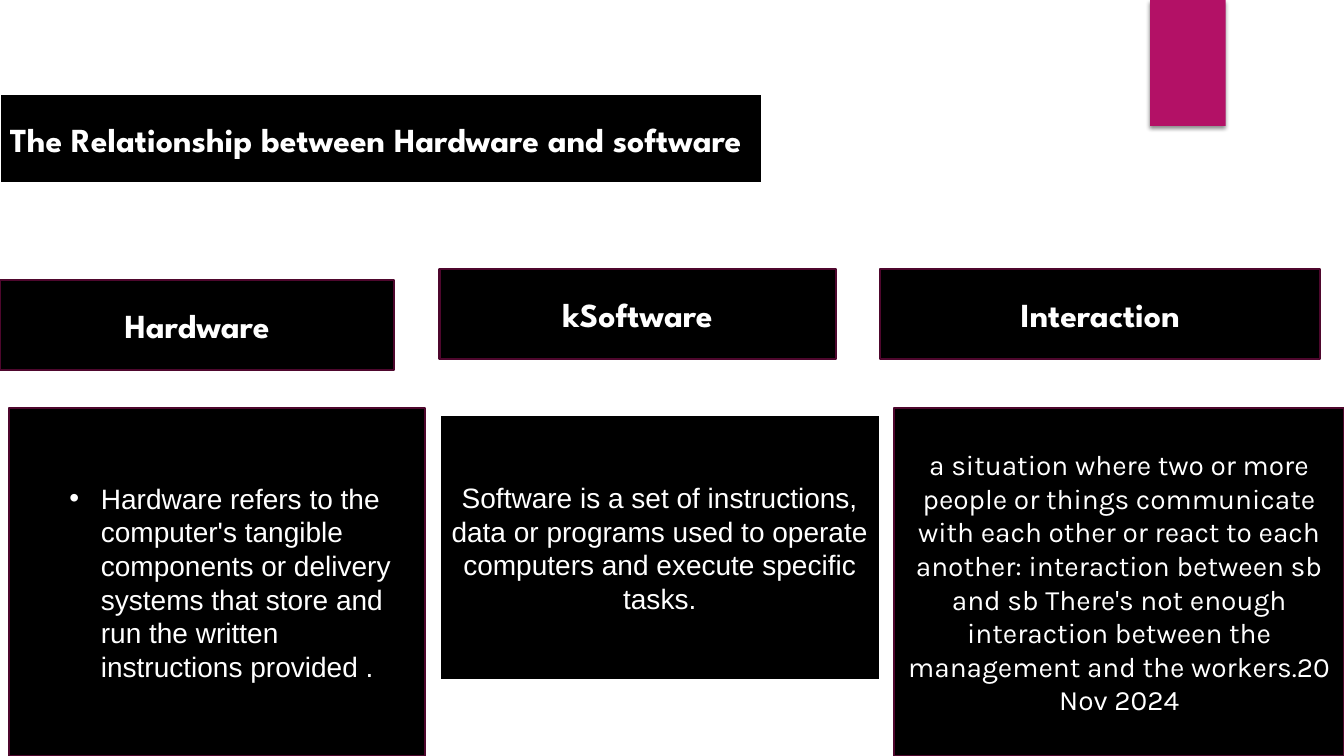
from dataclasses import dataclass

from lxml.etree import SubElement
from pptx import Presentation
from pptx.dml.color import RGBColor
from pptx.enum.shapes import MSO_SHAPE as Preset
from pptx.enum.text import MSO_ANCHOR as Anchor, PP_ALIGN as Align
from pptx.oxml.ns import qn
from pptx.shapes.autoshape import Shape
from pptx.slide import Slide
from pptx.util import Pt

BLACK = "000000"
WHITE = "FFFFFF"
PLUM = "4E072D"
MAGENTA = "B31166"
HEADING_FONT = "League Spartan"


@dataclass(frozen=True)
class Panel:
    left: float
    top: float
    width: float
    height: float
    text: str
    font: str
    size: float = 20
    bold: bool = False
    border: str = PLUM
    align: Align = Align.CENTER
    bulleted: bool = False


def heading(left: float, top: float, width: float, text: str,
            border: str = PLUM, align: Align = Align.CENTER) -> Panel:
    return Panel(left, top, width, 64, text, HEADING_FONT, 24, True, border, align)


PANELS = [
    Panel(6.5, 291.6, 297.4, 248.4,
          "Hardware refers to the computer's tangible components or delivery "
          "systems that store and run the written instructions provided .",
          "Arial", align=Align.LEFT, bulleted=True),
    heading(0, 67, 544.3, "The Relationship between Hardware and software",
            WHITE, Align.LEFT),
    Panel(314, 296.6, 314.6, 189.4,
          "Software is a set of instructions, data or programs used to operate "
          "computers and execute specific tasks.",
          "Arial", border=WHITE),
    Panel(638.6, 291.6, 321.8, 248.4,
          "a situation where two or more people or things communicate with each "
          "other or react to each another: interaction between sb and sb There's "
          "not enough interaction between the management and the workers.20 Nov 2024",
          "Karla"),
    heading(0, 200.2, 281.5, "Hardware"),
    heading(314, 192.2, 283, "kSoftware"),
    heading(628.6, 192.2, 314.6, "Interaction"),
]


def color(code: str) -> RGBColor:
    return RGBColor.from_string(code)


def add_box(page: Slide, left: float, top: float, width: float, height: float,
            fill: str) -> Shape:
    box = page.shapes.add_shape(
        Preset.RECTANGLE, Pt(left), Pt(top), Pt(width), Pt(height))
    box.fill.solid()
    box.fill.fore_color.rgb = color(fill)
    box.line.fill.background()
    box.shadow.inherit = False
    return box


def add_ribbon(page: Slide) -> None:
    ribbon = add_box(page, 821.5, 0, 54, 90, MAGENTA)
    effects = ribbon.element.spPr.find(qn("a:effectLst"))
    shadow = SubElement(effects, qn("a:outerShdw"), blurRad=str(Pt(3)),
                        dist=str(Pt(2)), dir="5400000", rotWithShape="0")
    tint = SubElement(shadow, qn("a:srgbClr"), val=BLACK)
    SubElement(tint, qn("a:alpha"), val="45000")


def add_panel(page: Slide, panel: Panel) -> None:
    box = add_box(page, panel.left, panel.top, panel.width, panel.height, BLACK)
    box.line.color.rgb = color(panel.border)
    box.line.width = Pt(1.5)
    frame = box.text_frame
    frame.word_wrap = True
    frame.vertical_anchor = Anchor.MIDDLE
    para = frame.paragraphs[0]
    para.text = panel.text
    para.alignment = panel.align
    para.font.name = panel.font
    para.font.size = Pt(panel.size)
    para.font.bold = panel.bold
    para.font.color.rgb = color(WHITE)
    if panel.bulleted:
        add_bullet(para)


def add_bullet(para) -> None:
    para.level = 1
    props = para._p.get_or_add_pPr()
    props.set("marL", str(Pt(58.5)))
    props.set("indent", str(Pt(-22.5)))
    defaults = props.find(qn("a:defRPr"))
    typeface = SubElement(props, qn("a:buFont"), typeface="Arial")
    mark = SubElement(props, qn("a:buChar"), char="•")
    if defaults is not None:
        defaults.addprevious(typeface)
        defaults.addprevious(mark)


def main() -> None:
    deck = Presentation()
    deck.slide_width = Pt(960)
    deck.slide_height = Pt(540)
    page = deck.slides.add_slide(deck.slide_layouts[6])
    add_ribbon(page)
    for panel in PANELS:
        add_panel(page, panel)
    deck.save("out.pptx")


if __name__ == "__main__":
    main()
